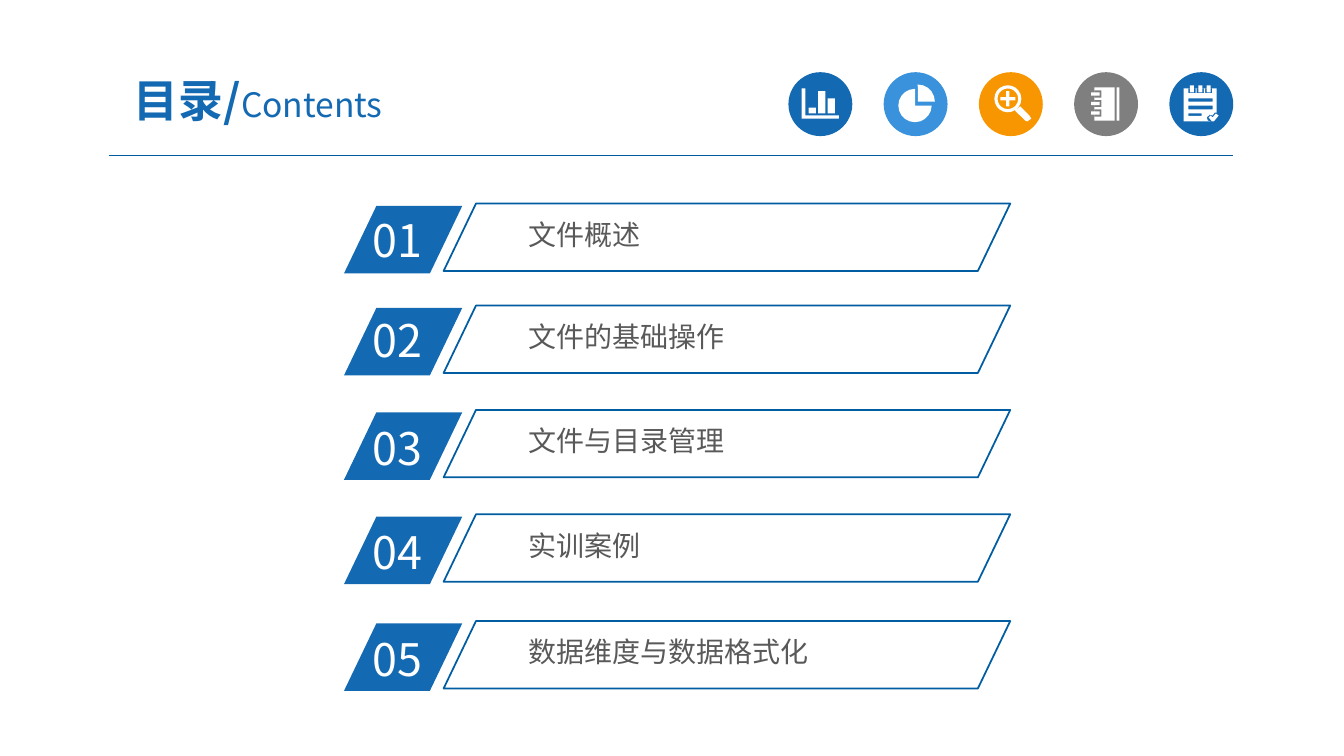
"""Build the contents slide: a heading, five round icons and five numbered chapters."""
from math import cos, radians, sin
from typing import NamedTuple

from pptx import Presentation
from pptx import util as u
from pptx.dml import color
from pptx.enum import shapes, text
from pptx.oxml import ns, xmlchemy

FONT = "Noto Sans CJK SC"
BLUE, SKY, ORANGE, GRAY = "1369B2", "3992DB", "F79600", "7F7F7F"
WHITE, OUTLINE, RULE, BODY = "FFFFFF", "005DA2", "005B9E", "595959"
ICON_SIZE, ICON_LEFT, ICON_TOP, ICON_STEP = 1.61, 19.87, 1.82, 2.4

Contour = list[tuple[float, float]]


class Icon(NamedTuple):
    disc_color: str
    contours: list[Contour]


class Chapter(NamedTuple):
    number: str
    title: str
    top: float
    number_drop: float


class Style(NamedTuple):
    size: int
    hex_color: str
    bold: bool = False


def rgb(hex_color: str) -> color.RGBColor:
    return color.RGBColor.from_string(hex_color)


def arc(x: float, y: float, radius: float, start: int, end: int) -> Contour:
    return [(x + radius * cos(radians(a)), y + radius * sin(radians(a)))
            for a in range(start, end + 1, 18)]


def box(left: float, top: float, right: float, bottom: float) -> Contour:
    return [(left, top), (right, top), (right, bottom), (left, bottom)]


def plus(x: float, y: float, arm: float, half: float) -> Contour:
    return [(x + dx, y + dy) for dx, dy in (
        (-arm, -half), (-half, -half), (-half, -arm), (half, -arm), (half, -half), (arm, -half),
        (arm, half), (half, half), (half, arm), (-half, arm), (-half, half), (-arm, half))]


def bar_chart() -> list[Contour]:
    axes = [(0.33, 0.41), (0.43, 0.41), (0.43, 1.09), (1.27, 1.09), (1.27, 1.17), (0.33, 1.17)]
    bars = [box(0.51 + 0.24 * i, top, 0.69 + 0.24 * i, 1.04)
            for i, top in enumerate((0.89, 0.48, 0.66))]
    return [axes, *bars]


def pie() -> list[Contour]:
    return [[(0.86, 0.74), *arc(0.86, 0.74, 0.43, 270, 360)],
            [(0.79, 0.84), *arc(0.79, 0.84, 0.42, 0, 270)]]


def magnifier() -> list[Contour]:
    handle = [(0.91, 0.97), (1.04, 0.86), (1.27, 1.09), (1.32, 1.17), (1.22, 1.24), (1.17, 1.22)]
    return [arc(0.73, 0.67, 0.34, 0, 342), arc(0.73, 0.67, 0.26, 0, 342),
            plus(0.73, 0.67, 0.19, 0.04), handle]


def notebook() -> list[Contour]:
    contours = [box(1.07, 0.38, 1.14, 1.22), box(0.51, 0.38, 1.02, 1.22)]
    for y in (0.55, 0.79, 1.03):
        contours += [box(0.51, y - 0.09, 0.69, y + 0.09), box(0.43, y - 0.04, 0.64, y + 0.04)]
    return contours


def notepad() -> list[Contour]:
    sheet = [(0.36, 0.41), (1.19, 0.41), (1.19, 1.02), (1.14, 1.02), (1.09, 1.09),
             (1.02, 1.07), (0.94, 1.14), (0.97, 1.22), (1.04, 1.24), (0.36, 1.24)]
    check = [(0.99, 1.14), (1.04, 1.09), (1.09, 1.14), (1.17, 1.04),
             (1.24, 1.09), (1.22, 1.12), (1.12, 1.24), (1.07, 1.24)]
    contours = [sheet, check, box(0.48, 0.66, 1.09, 0.74), box(0.48, 0.84, 1.09, 0.94),
                box(0.48, 1.04, 0.81, 1.1)]
    for x in (0.57, 0.78, 0.99):
        contours += [box(x - 0.09, 0.41, x + 0.09, 0.53), box(x - 0.05, 0.33, x + 0.05, 0.51)]
    return contours


def paint(shape, fill: str | None = None, line: str | None = None) -> None:
    shape.shadow.inherit = False
    if fill:
        shape.fill.solid()
        shape.fill.fore_color.rgb = rgb(fill)
    else:
        shape.fill.background()
    if line:
        shape.line.color.rgb = rgb(line)
        shape.line.width = u.Pt(1.25)
    else:
        shape.line.fill.background()


def style_run(run, style: Style) -> None:
    run.font.name = FONT
    run.font.size = u.Pt(style.size)
    run.font.bold = style.bold
    run.font.color.rgb = rgb(style.hex_color)
    east_asian = xmlchemy.OxmlElement("a:ea")
    east_asian.set("typeface", FONT)
    run.font._element.find(ns.qn("a:latin")).addnext(east_asian)


def draw_rule(slide) -> None:
    rule = slide.shapes.add_connector(
        shapes.MSO_CONNECTOR.STRAIGHT, u.Cm(2.75), u.Cm(3.93), u.Cm(31.07), u.Cm(3.93))
    rule.line.color.rgb = rgb(RULE)
    rule.line.width = u.Pt(0.75)
    rule._element.spPr.append(xmlchemy.OxmlElement("a:effectLst"))


def draw_icon(slide, icon: Icon, left: float) -> None:
    disc = slide.shapes.add_shape(shapes.MSO_SHAPE.OVAL, u.Cm(left), u.Cm(ICON_TOP),
                                  u.Cm(ICON_SIZE), u.Cm(ICON_SIZE))
    paint(disc, fill=icon.disc_color)
    first, *others = [[(u.Cm(x), u.Cm(y)) for x, y in contour] for contour in icon.contours]
    builder = slide.shapes.build_freeform(*first[0])
    builder.add_line_segments(first[1:])
    for contour in others:
        builder.move_to(*contour[0])
        builder.add_line_segments(contour[1:])
    paint(builder.convert_to_shape(u.Cm(left), u.Cm(ICON_TOP)), fill=WHITE)


def draw_text(slide, left: float, top: float, width: float, height: float,
              words: str, style: Style, inset_x: float, inset_y: float):
    label = slide.shapes.add_textbox(u.Cm(left), u.Cm(top), u.Cm(width), u.Cm(height))
    frame = label.text_frame
    frame.word_wrap = True
    frame.margin_left = frame.margin_right = u.Cm(inset_x)
    frame.margin_top = frame.margin_bottom = u.Cm(inset_y)
    frame.text = words
    style_run(frame.paragraphs[0].runs[0], style)
    return frame


def draw_heading(slide) -> None:
    frame = draw_text(slide, 2.33, 1.6, 8.36, 1.83, "目录/", Style(32, BLUE, True), 0.33, 0.18)
    frame.vertical_anchor = text.MSO_ANCHOR.MIDDLE
    heading = frame.paragraphs[0]
    heading.alignment = text.PP_ALIGN.CENTER
    english = heading.add_run()
    english.text = "Contents"
    style_run(english, Style(24, BLUE))


def draw_slanted(slide, left: float, top: float, width: float,
                 fill: str | None = None, line: str | None = None) -> None:
    panel = slide.shapes.add_shape(shapes.MSO_SHAPE.PARALLELOGRAM, u.Cm(left), u.Cm(top),
                                   u.Cm(width), u.Cm(1.7))
    panel.adjustments[0] = 0.48
    paint(panel, fill, line)


def draw_chapter(slide, chapter: Chapter) -> None:
    draw_slanted(slide, 8.67, chapter.top + 0.06, 2.98, fill=BLUE)
    number = draw_text(slide, 9.14, chapter.top + chapter.number_drop, 2.84, 1.63,
                       chapter.number, Style(32, WHITE), 0.25, 0.13)
    title = draw_text(slide, 13.13, chapter.top + 0.25, 10.46, 1.04,
                      chapter.title, Style(20, BODY), 0.18, 0.1)
    number.auto_size = title.auto_size = text.MSO_AUTO_SIZE.SHAPE_TO_FIT_TEXT
    draw_slanted(slide, 11.18, chapter.top, 14.28, line=OUTLINE)


def main() -> None:
    icons = [Icon(BLUE, bar_chart()), Icon(SKY, pie()), Icon(ORANGE, magnifier()),
             Icon(GRAY, notebook()), Icon(BLUE, notepad())]
    chapters = [Chapter("01", "文件概述", 5.13, 0.1),
                Chapter("02", "文件的基础操作", 7.7, 0.05),
                Chapter("03", "文件与目录管理", 10.33, 0.13),
                Chapter("04", "实训案例", 12.96, 0.14),
                Chapter("05", "数据维度与数据格式化", 15.65, 0.15)]
    deck = Presentation()
    deck.slide_width, deck.slide_height = u.Cm(33.87), u.Cm(19.05)
    slide = deck.slides.add_slide(deck.slide_layouts[6])
    draw_rule(slide)
    for i, icon in enumerate(icons):
        draw_icon(slide, icon, ICON_LEFT + ICON_STEP * i)
    draw_heading(slide)
    for chapter in chapters:
        draw_chapter(slide, chapter)
    deck.save("out.pptx")


if __name__ == "__main__":
    main()
